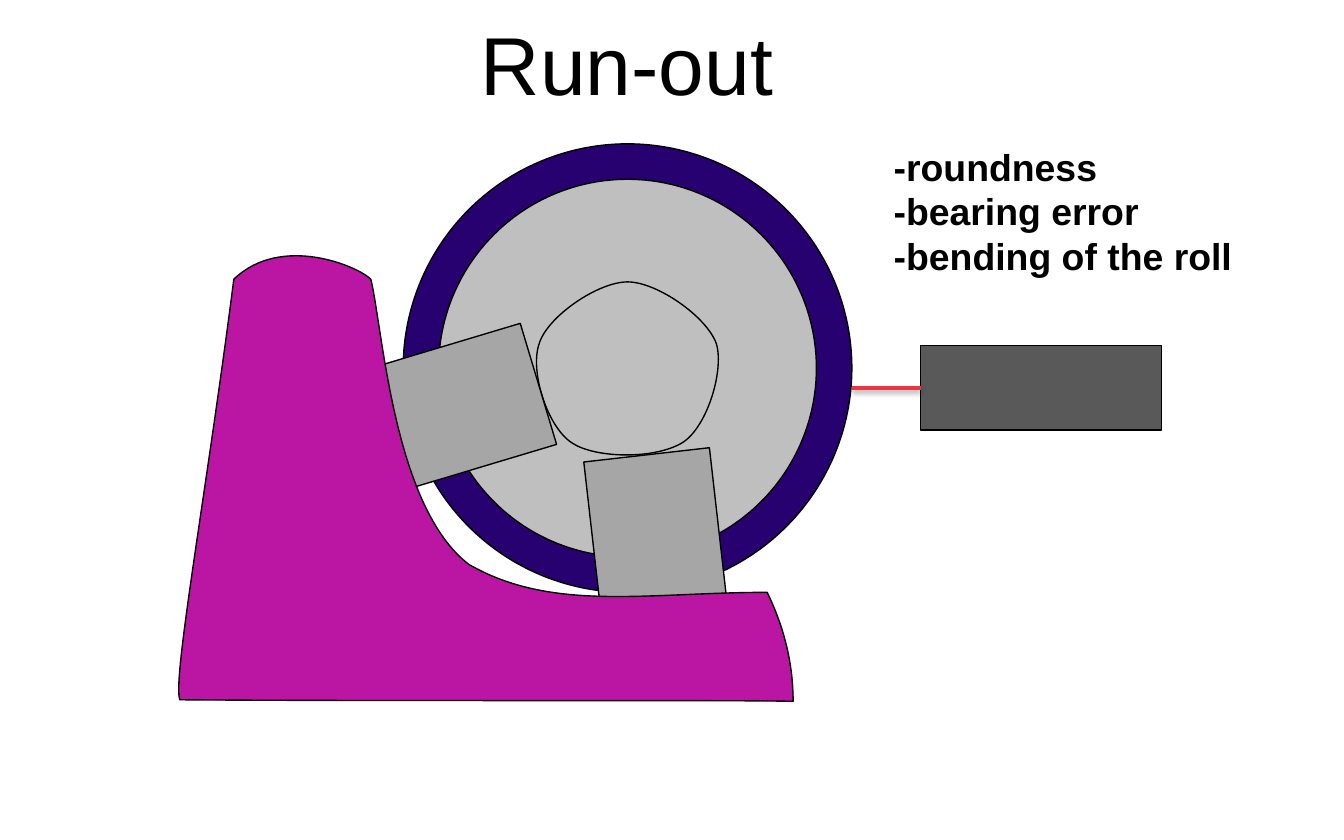
import lxml.etree
import pptx
import pptx.dml.color
import pptx.enum.shapes
import pptx.enum.text
import pptx.oxml
import pptx.oxml.ns
import pptx.util
from pptx.util import Cm

SHAPES = pptx.enum.shapes.MSO_SHAPE
ALIGN = pptx.enum.text.PP_ALIGN
qn = pptx.oxml.ns.qn

# Closed outlines in cm: box, start point, then (control, control, end) per curve
JOURNAL_BOX = (10.14, 5.33, 3.45, 3.28)
JOURNAL_START = (10.19, 6.5)
JOURNAL_CURVES = [
    ((10.34, 5.99), (11.3, 5.33), (11.86, 5.33)),
    ((12.42, 5.33), (13.36, 5.99), (13.54, 6.5)),
    ((13.69, 7.01), (13.36, 8.1), (12.88, 8.38)),
    ((12.34, 8.69), (11.25, 8.66), (10.82, 8.38)),
    ((10.34, 8.08), (10.01, 7.01), JOURNAL_START),
]
STAND_BOX = (3.39, 4.83, 11.6, 8.43)
STAND_START = (4.42, 5.28)
STAND_CURVES = [
    ((5.31, 4.42), (6.76, 5.03), (7.01, 5.28)),
    ((7.24, 6.25), (7.44, 9.58), (8.86, 10.67)),
    ((10.44, 11.58), (12.24, 11.2), (14.5, 11.2)),
    ((14.81, 11.84), (14.99, 12.52), (14.99, 13.26)),
    ((13.94, 13.23), (7.26, 13.26), (3.4, 13.23)),
    ((3.25, 12.88), (3.91, 9.27), STAND_START),
]


def color(value):
    return pptx.dml.color.RGBColor.from_string(value)


def style(shape, fill):
    shape.shadow.inherit = False
    shape.fill.solid()
    shape.fill.fore_color.rgb = color(fill)
    shape.line.color.rgb = color("000000")
    shape.line.width = pptx.util.Pt(0.75)


def add_shape(slide, kind, left, top, width, height, fill, rotation=0):
    shape = slide.shapes.add_shape(kind, Cm(left), Cm(top), Cm(width), Cm(height))
    shape.rotation = rotation
    style(shape, fill)
    return shape


def add_circle(slide, center_x, center_y, diameter, fill):
    radius = diameter / 2
    return add_shape(slide, SHAPES.OVAL, center_x - radius, center_y - radius,
                     diameter, diameter, fill)


def add_curved_shape(slide, box, start, curves, fill):
    """Build a freeform through the curve ends, then bend its segments."""
    builder = slide.shapes.build_freeform(Cm(start[0]), Cm(start[1]))
    builder.add_line_segments([(Cm(x), Cm(y)) for _, _, (x, y) in curves], close=True)
    shape = builder.convert_to_shape()
    left, top, width, height = (Cm(value) for value in box)
    shape.left, shape.top, shape.width, shape.height = left, top, width, height

    outline = next(shape._element.iter(qn("a:path")))
    outline.set("w", str(width))
    outline.set("h", str(height))
    for segment in list(outline):
        outline.remove(segment)

    def add_segment(tag, points=()):
        segment = lxml.etree.SubElement(outline, qn(tag))
        for x, y in points:
            lxml.etree.SubElement(segment, qn("a:pt"),
                                  x=str(Cm(x) - left), y=str(Cm(y) - top))

    add_segment("a:moveTo", [start])
    for curve in curves:
        add_segment("a:cubicBezTo", curve)
    add_segment("a:close")
    style(shape, fill)
    return shape


def add_text(slide, text, left, top, width, height, size, bold=False,
             align=ALIGN.LEFT, inset_top=0, line_spacing=None):
    box = slide.shapes.add_textbox(Cm(left), Cm(top), Cm(width), Cm(height))
    frame = box.text_frame
    frame.word_wrap = True
    frame.margin_left = frame.margin_right = frame.margin_bottom = 0
    frame.margin_top = Cm(inset_top)
    frame.text = text
    for paragraph in frame.paragraphs:
        paragraph.alignment = align
        if line_spacing:
            paragraph.line_spacing = pptx.util.Pt(line_spacing)
        paragraph.font.name = "Arial"
        paragraph.font.size = pptx.util.Pt(size)
        paragraph.font.bold = bold
        paragraph.font.color.rgb = color("000000")
    return box


def add_beam(slide, start_x, y, sensor):
    beam = slide.shapes.add_connector(
        pptx.enum.shapes.MSO_CONNECTOR.STRAIGHT, Cm(start_x), Cm(y), sensor.left, Cm(y))
    beam.end_connect(sensor, 1)
    beam.line.color.rgb = color("EF3340")
    beam.line.width = pptx.util.Pt(2)
    # Soft shadow straight below the beam
    beam._element.spPr.append(pptx.oxml.parse_xml(
        f'<a:effectLst {pptx.oxml.ns.nsdecls("a")}>'
        f'<a:outerShdw blurRad="{pptx.util.Pt(3.1)}" dist="{pptx.util.Pt(1.6)}" '
        'dir="5400000" rotWithShape="0">'
        '<a:srgbClr val="000000"><a:alpha val="38000"/></a:srgbClr>'
        '</a:outerShdw></a:effectLst>'))


def main():
    presentation = pptx.Presentation()
    presentation.slide_width = Cm(25.4)
    presentation.slide_height = Cm(15.88)
    slide = presentation.slides.add_slide(presentation.slide_layouts[6])

    add_text(slide, "Run-out", 1.88, 0.13, 19.94, 1.14, size=44,
             align=ALIGN.CENTER, inset_top=0.13)

    # Roll with its uneven journal
    add_circle(slide, 11.86, 6.96, 8.48, "26016F")
    add_circle(slide, 11.86, 6.96, 7.14, "BFBFBF")
    add_curved_shape(slide, JOURNAL_BOX, JOURNAL_START, JOURNAL_CURVES, "BFBFBF")

    # Bearing pads and the stand that holds them
    add_shape(slide, SHAPES.RECTANGLE, 11.2, 8.59, 2.39, 3.07, "A6A6A6", rotation=-6.5)
    add_shape(slide, SHAPES.RECTANGLE, 7.14, 5.89, 2.39, 3.84, "A6A6A6", rotation=73.3)
    add_curved_shape(slide, STAND_BOX, STAND_START, STAND_CURVES, "BB16A3")

    # Sensor and its beam
    sensor = add_shape(slide, SHAPES.RECTANGLE, 17.4, 6.53, 4.55, 1.6, "595959")
    add_beam(slide, 16.1, 7.33, sensor)

    # Causes of run-out
    add_text(slide, "-roundness\n-bearing error\n-bending of the roll",
             16.89, 2.72, 6.81, 2.57, size=20, bold=True, line_spacing=24)

    presentation.save("out.pptx")


if __name__ == "__main__":
    main()
